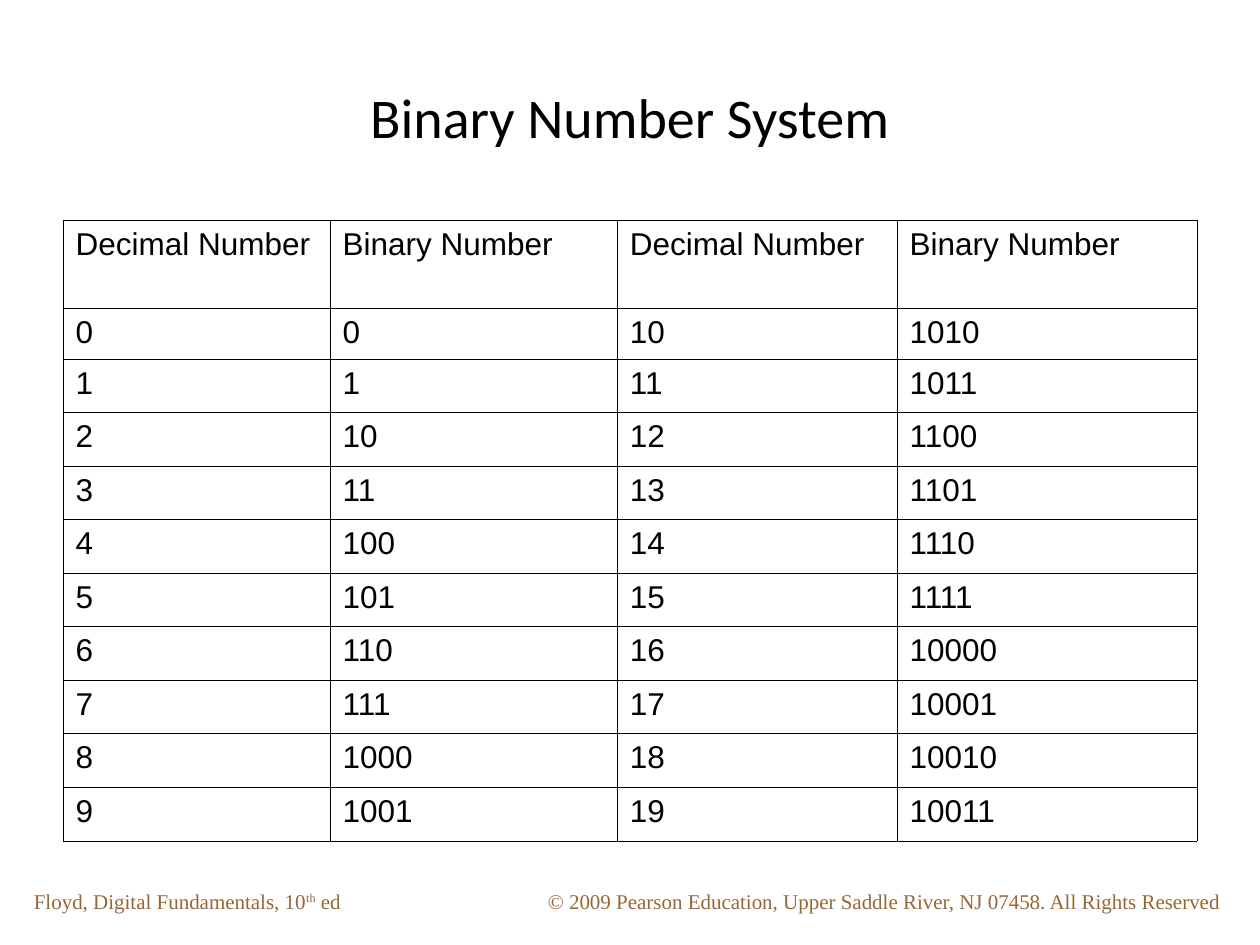
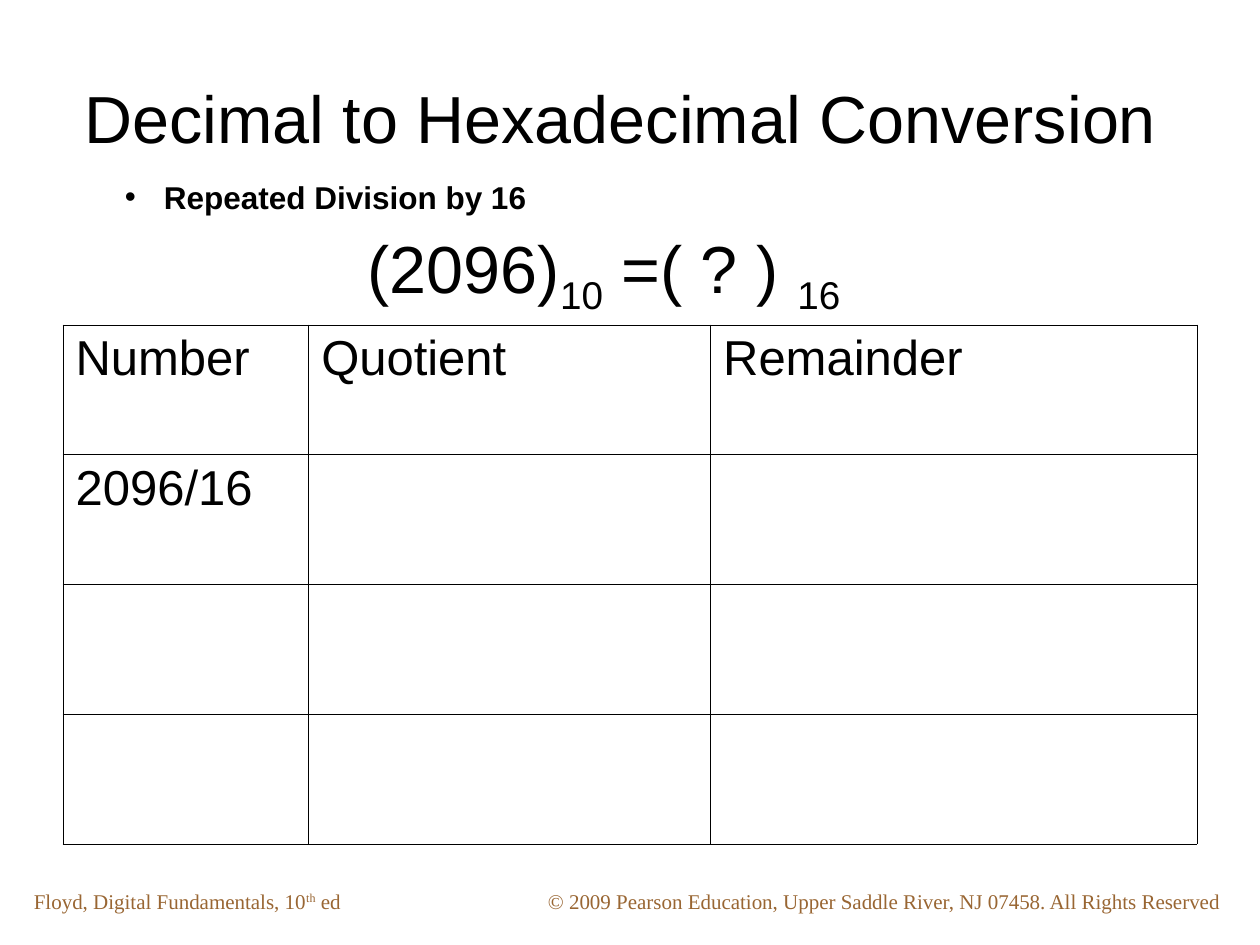
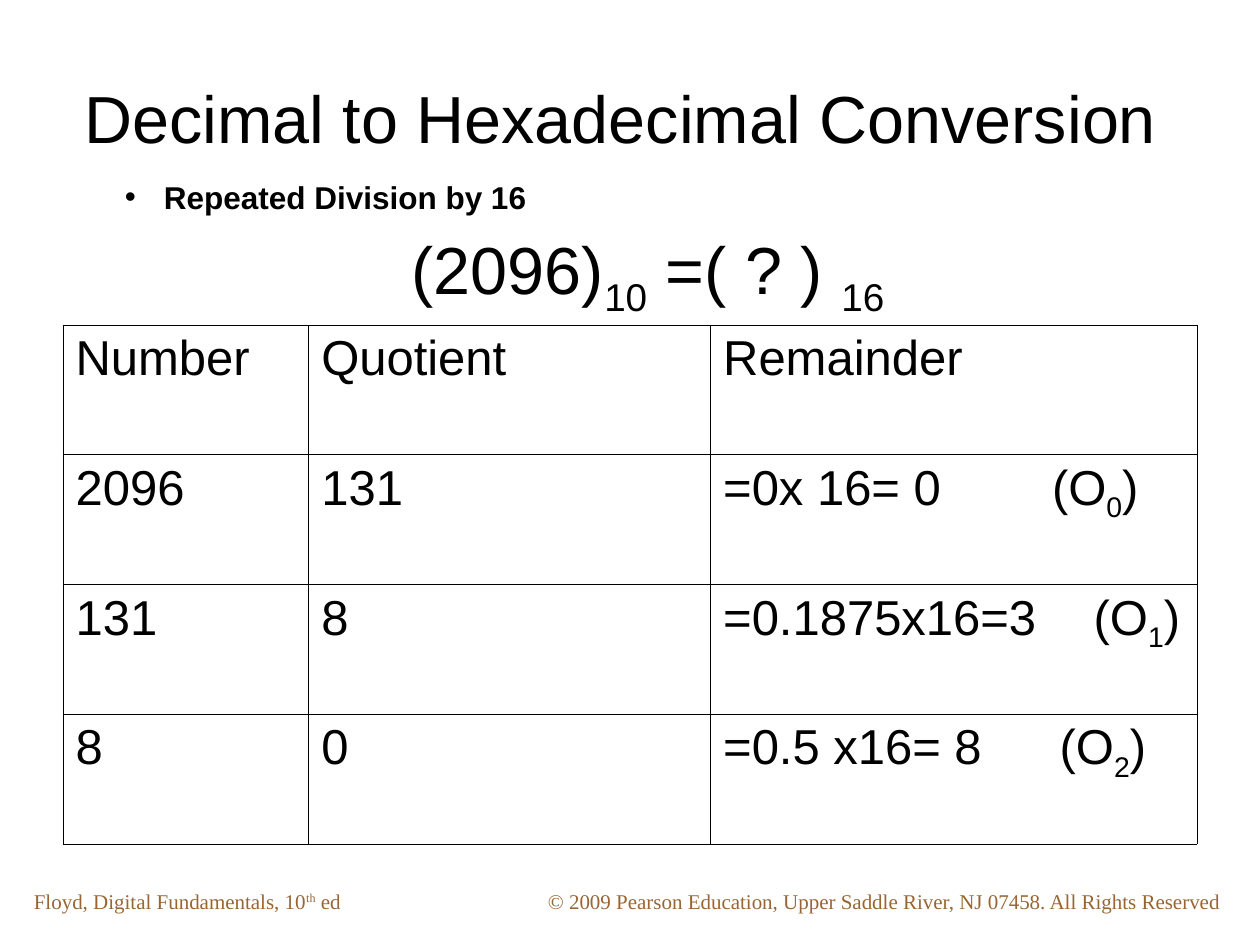
from lxml.etree import SubElement
from pptx import Presentation
from pptx.dml.color import RGBColor
from pptx.enum.text import MSO_ANCHOR, MSO_AUTO_SIZE, PP_ALIGN
from pptx.oxml.ns import qn
from pptx.util import Inches, Pt

COLORS = {"ink": "000000", "footer": "996633", "page": "FFFFFF"}
COLUMNS, ROWS = 100, 75
SUBSCRIPT, SUPERSCRIPT = -25, 30
BORDER_WIDTH = Pt(0.45)


class Lecture:
    """Holds the deck, its style and the current page."""

    def __init__(self):
        self.deck = Presentation()
        self.deck.slide_width = Inches(10)
        self.deck.slide_height = Inches(7.5)
        self.page = None

    def across(self, columns):
        return round(self.deck.slide_width * columns / COLUMNS)

    def down(self, rows):
        return round(self.deck.slide_height * rows / ROWS)

    def add_page(self):
        self.page = self.deck.slides.add_slide(self.deck.slide_layouts[6])
        fill = self.page.background.fill
        fill.solid()
        fill.fore_color.rgb = RGBColor.from_string(COLORS["page"])
        self.footer(42.5, 55.8, ["© 2009 Pearson Education, Upper Saddle River, NJ 07458. All Rights Reserved"])
        self.footer(1.7, 30.8, ["Floyd, Digital Fundamentals, 10", ("th", SUPERSCRIPT), " ed"])

    def add_spans(self, para, spans, size, font="Arial", color="ink", bold=False):
        for piece in spans:
            text, baseline = piece if isinstance(piece, tuple) else (piece, 0)
            span = para.add_run()
            span.text = text
            span.font.size = Pt(size)
            span.font.name = font
            span.font.bold = bold
            span.font.color.rgb = RGBColor.from_string(COLORS[color])
            if baseline:
                span._r.get_or_add_rPr().set("baseline", str(baseline * 1000))

    def text(self, place, spans, size, align=PP_ALIGN.LEFT, anchor=MSO_ANCHOR.TOP,
             wrap=True, grow=False, bullet=False, **style):
        left, top, width, height = place
        box = self.page.shapes.add_textbox(
            self.across(left), self.down(top), self.across(width), self.down(height))
        frame = box.text_frame
        frame.word_wrap = wrap
        frame.vertical_anchor = anchor
        frame.auto_size = MSO_AUTO_SIZE.SHAPE_TO_FIT_TEXT if grow else MSO_AUTO_SIZE.NONE
        para = frame.paragraphs[0]
        para.alignment = align
        if bullet:
            self.bullet(para)
        self.add_spans(para, spans, size, **style)

    def bullet(self, para):
        props = para._p.get_or_add_pPr()
        props.set("marL", str(Inches(0.31)))
        props.set("indent", str(-Inches(0.31)))
        SubElement(SubElement(props, qn("a:buClr")), qn("a:srgbClr"), val=COLORS["ink"])
        SubElement(props, qn("a:buFont"), typeface="Arial")
        SubElement(props, qn("a:buChar"), char="•")

    def footer(self, left, width, spans):
        self.text((left, 70, width, 3), spans, 12, grow=True,
                  font="Times New Roman", color="footer")

    def title(self, text, size, font="Arial"):
        self.text((5, 3, 90, 12.5), [text], size, PP_ALIGN.CENTER, MSO_ANCHOR.MIDDLE, font=font)

    def subtitle(self, text):
        self.text((7.5, 13.5, 36.7, 4.2), [text], 18, PP_ALIGN.CENTER,
                  MSO_ANCHOR.MIDDLE, bullet=True, bold=True)

    def border(self, cell):
        props = cell._tc.get_or_add_tcPr()
        for side in ("lnL", "lnR", "lnT", "lnB"):
            line = SubElement(props, qn(f"a:{side}"), w=str(BORDER_WIDTH))
            SubElement(SubElement(line, qn("a:solidFill")), qn("a:srgbClr"), val=COLORS["ink"])

    def tab_stop(self, para, inches):
        stops = SubElement(para._p.get_or_add_pPr(), qn("a:tabLst"))
        SubElement(stops, qn("a:tab"), pos=str(Inches(inches)), algn="l")

    def table(self, top, widths, heights, rows, size, align=PP_ALIGN.LEFT, tabs=None):
        grid = self.page.shapes.add_table(
            len(rows), len(widths), self.across(5), self.down(top),
            self.across(sum(widths)), self.down(sum(heights))).table
        grid.first_row = grid.horz_banding = False
        for column, width in zip(grid.columns, widths):
            column.width = self.across(width)
        for row, height in zip(grid.rows, heights):
            row.height = self.down(height)
        for r, values in enumerate(rows):
            for c, spans in enumerate(values):
                cell = grid.cell(r, c)
                self.border(cell)
                cell.fill.background()
                cell.margin_right = Inches(0.05)
                para = cell.text_frame.paragraphs[0]
                para.alignment = align
                if tabs and (r, c) in tabs:
                    self.tab_stop(para, tabs[r, c])
                if spans:
                    self.add_spans(para, spans, size)
                else:
                    para.font.size = Pt(size)

    def division(self, formula_left, formula_top, steps, tabs=None):
        self.add_page()
        self.subtitle("Repeated Division by 16")
        header = [["Number"], ["Quotient "], ["Remainder"]]
        self.table(25.8, [19.5, 31.9, 38.6], [10.3] * 4, [header] + steps, 28,
                   PP_ALIGN.JUSTIFY, tabs)
        self.title("Decimal to Hexadecimal Conversion ", 38)
        self.text((formula_left, formula_top, 39.5, 8.2),
                  ["(2096)", ("10", SUBSCRIPT), " =( ? ) ", ("16", SUBSCRIPT)],
                  38, wrap=False, grow=True)


def remainder(product, digit):
    return [f"{product}\t(O", (digit, SUBSCRIPT), ")"]


def main():
    lecture = Lecture()

    lecture.add_page()
    lecture.title("Binary Number System", 32, font="Calibri")
    counting = [[["Decimal Number"], ["Binary Number"]] * 2]
    for low in range(10):
        counting.append([[f"{number:{base}}"] for number in (low, low + 10) for base in "db"])
    lecture.table(17.5, [21.2, 22.8, 22.2, 23.8], [7, 4] + [4.25] * 9, counting, 18)

    lecture.division(28.2, 17.5, [[["2096/16"], [], []], [[], [], []], [[], [], []]])

    steps = [
        [["2096"], ["131"], remainder("=0x 16= 0", "0")],
        [["131"], ["8"], remainder("=0.1875x16=3", "1")],
        [["8"], ["0"], remainder("=0.5 x16= 8", "2")],
    ]
    lecture.division(31.7, 17.6, steps, {(1, 2): 2.61, (2, 2): 2.94, (3, 2): 2.67})

    lecture.deck.save("out.pptx")


if __name__ == "__main__":
    main()
